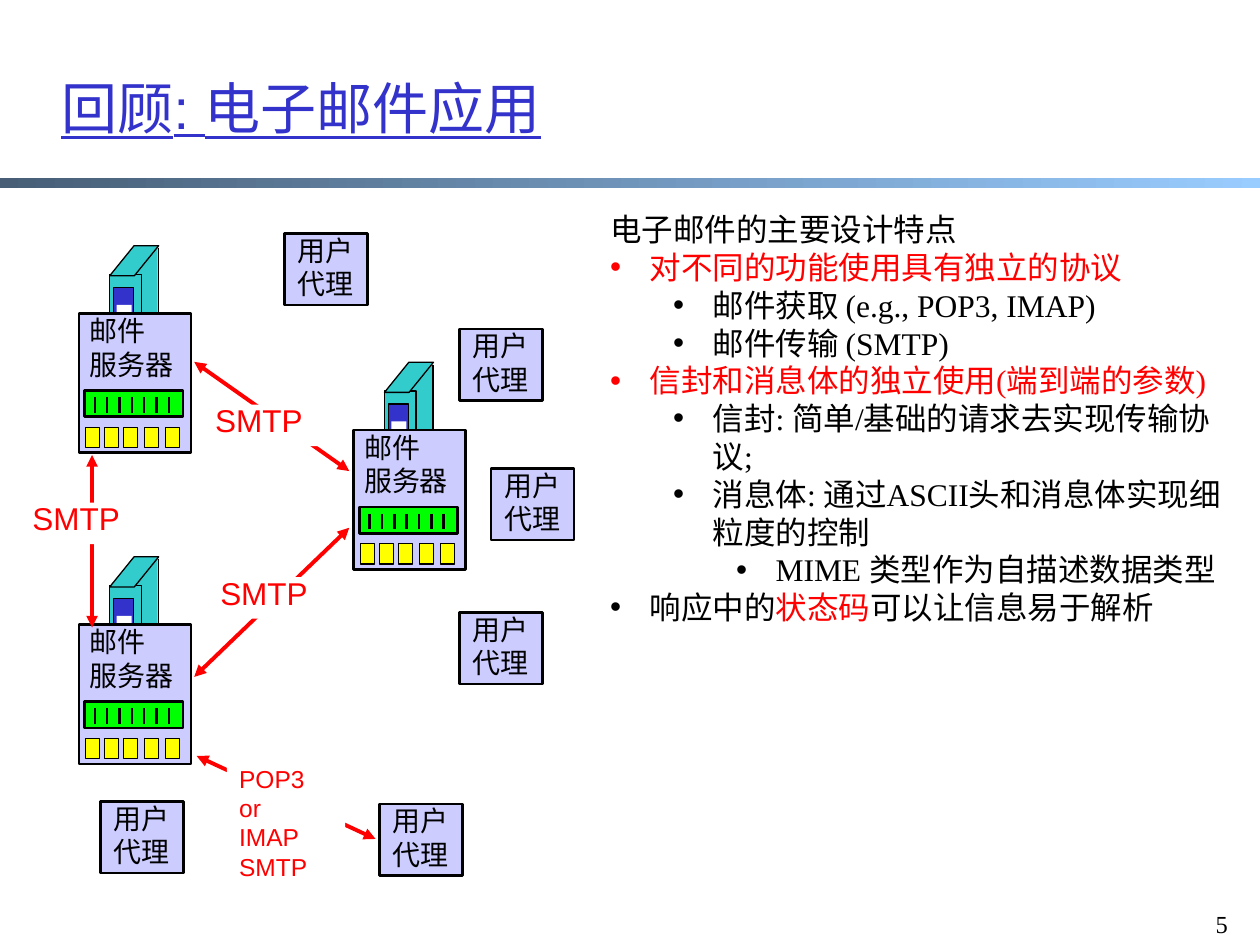
from dataclasses import dataclass
from typing import Optional

from lxml.etree import SubElement
from pptx import Presentation
from pptx.dml.color import RGBColor
from pptx.enum.shapes import MSO_CONNECTOR, MSO_SHAPE
from pptx.enum.text import MSO_ANCHOR, MSO_AUTO_SIZE
from pptx.oxml.ns import qn
from pptx.util import Pt

BLACK, WHITE, RED, BLUE = "000000", "FFFFFF", "FF0000", "3333CC"
TEAL, LILAC, GREEN, YELLOW = "33CCCC", "CCCCFF", "00FF00", "FFFF00"
SANS, SERIF = "Arial", "Times New Roman"


@dataclass(frozen=True)
class Area:
    left: float
    top: float
    width: float
    height: float


@dataclass(frozen=True)
class Style:
    size: float
    color: str
    name: str = SANS
    underline: bool = False


@dataclass(frozen=True)
class Bullet:
    level: Optional[int]
    spans: tuple


def color_of(code: str) -> RGBColor:
    return RGBColor.from_string(code)


def set_font(font, style: Style) -> None:
    font.size = Pt(style.size)
    font.name = style.name
    font.color.rgb = color_of(style.color)
    if style.underline:
        font.underline = True


def add_box(page, area: Area, fill: str, line: float = 0, kind=MSO_SHAPE.RECTANGLE):
    box = page.shapes.add_shape(
        kind, Pt(area.left), Pt(area.top), Pt(area.width), Pt(area.height))
    box.shadow.inherit = False
    box.fill.solid()
    box.fill.fore_color.rgb = color_of(fill)
    if line:
        box.line.color.rgb = color_of(BLACK)
        box.line.width = Pt(line)
    else:
        box.line.fill.background()
    return box


def add_line(page, start: tuple, end: tuple, color: str, width: float, arrows: bool = False) -> None:
    line = page.shapes.add_connector(
        MSO_CONNECTOR.STRAIGHT, *(Pt(value) for value in (*start, *end)))
    line.line.color.rgb = color_of(color)
    line.line.width = Pt(width)
    if arrows:
        outline = line.line._get_or_add_ln()
        for tag in ("a:headEnd", "a:tailEnd"):
            SubElement(outline, qn(tag), type="triangle")
    SubElement(line._element.spPr, qn("a:effectLst"))


def add_text(page, area: Area, lines: list, style: Style, wrap: bool = False,
             anchor=MSO_ANCHOR.TOP) -> None:
    box = page.shapes.add_textbox(
        Pt(area.left), Pt(area.top), Pt(area.width), Pt(area.height))
    frame = box.text_frame
    frame.word_wrap = wrap
    frame.vertical_anchor = anchor
    if not wrap:
        frame.auto_size = MSO_AUTO_SIZE.SHAPE_TO_FIT_TEXT
    for index, line in enumerate(lines):
        para = frame.add_paragraph() if index else frame.paragraphs[0]
        para.text = line
        set_font(para.font, style)


def add_server(page, left: float, top: float) -> None:
    def place(x: float, y: float, width: float, height: float) -> Area:
        return Area(left + x, top + y, width, height)

    add_box(page, place(31.9, -38.2, 13, 56.2), TEAL)
    add_box(page, place(17.5, -22.4, 18, 56.2), TEAL, 0.75)
    roof = add_box(page, place(17.5, -38.8, 28, 17.2), TEAL, 0.75, MSO_SHAPE.PARALLELOGRAM)
    roof.adjustments[0] = 0.81
    add_line(page, (left + 45.3, top - 37.5), (left + 45.3, top + 17.4), BLACK, 0.75)
    add_box(page, place(19.7, -15, 11.5, 32.4), BLUE, 0.75)
    add_box(page, place(21.5, -5, 8.6, 11.5), WHITE)
    add_box(page, place(0, 0, 64, 79.5), LILAC, 1.5)
    add_text(page, place(-1.2, -3.5, 63.4, 46), ["邮件", "服务器"], Style(16, BLACK))
    add_box(page, place(3.1, 44, 56.2, 15), GREEN, 1.5)
    for index in range(7):
        x = left + 9 + 7.05 * index
        add_line(page, (x, top + 47.8), (x, top + 56.6), BLACK, 1.5)
    for x in (3.8, 14.6, 25.4, 37.6, 49.6):
        add_box(page, place(x, 65, 8, 11.5), YELLOW, 0.75)


def add_agent(page, left: float, top: float) -> None:
    add_box(page, Area(left, top, 47.5, 41), LILAC, 1.5)
    add_text(page, Area(left + 0.6, top - 3.6, 46.8, 46), ["用户", "代理"], Style(16, BLACK))


def add_label(page, left: float, top: float) -> None:
    add_box(page, Area(left, top, 67.7, 23.8), WHITE)
    add_text(page, Area(left - 6.5, top - 5.4, 64.8, 28.8), ["SMTP"], Style(18, RED))


def add_outline(page, area: Area, bullets: list) -> None:
    box = page.shapes.add_textbox(
        Pt(area.left), Pt(area.top), Pt(area.width), Pt(area.height))
    frame = box.text_frame
    frame.word_wrap = True
    for index, bullet in enumerate(bullets):
        para = frame.add_paragraph() if index else frame.paragraphs[0]
        if bullet.level is not None:
            para.level = bullet.level
            properties = para._p.get_or_add_pPr()
            properties.set("marL", str(Pt(22.5 + 36 * bullet.level)))
            properties.set("indent", str(Pt(-22.5)))
            SubElement(properties, qn("a:buFont"), typeface=SANS)
            SubElement(properties, qn("a:buChar"), char="•")
        set_font(para.font, Style(18, bullet.spans[0][1], SERIF))
        for words, color in bullet.spans:
            span = para.add_run()
            span.text = words
            if len(bullet.spans) > 1:
                span.font.color.rgb = color_of(color)


SERVERS = [(202.2, 245.8), (45.2, 357), (45.2, 179.2)]
AGENTS = [(262.6, 188), (280.6, 267.6), (262.6, 350), (216.8, 459.4), (57.4, 458), (162.6, 133.4)]
ARROWS = [((111, 206.8), (199.6, 269.2)), ((111, 386.8), (199.6, 301.6)),
          ((52.6, 358.6), (52.6, 260)), ((112.4, 432), (214.6, 479.4))]
LABELS = [(125.3, 329.8), (122.4, 231.2), (18, 287.2)]
BULLETS = [
    Bullet(None, (("电子邮件的主要设计特点", BLACK),)),
    Bullet(0, (("对不同的功能使用具有独立的协议", RED),)),
    Bullet(1, (("邮件获取 (e.g., POP3, IMAP)", BLACK),)),
    Bullet(1, (("邮件传输 (SMTP)", BLACK),)),
    Bullet(0, (("信封和消息体的独立使用(端到端的参数)", RED),)),
    Bullet(1, (("信封: 简单/基础的请求去实现传输协议;", BLACK),)),
    Bullet(1, (("消息体: 通过ASCII头和消息体实现细粒度的控制", BLACK),)),
    Bullet(2, (("MIME 类型作为自描述数据类型", BLACK),)),
    Bullet(0, (("响应中的", BLACK), ("状态码", RED), ("可以让信息易于解析", BLACK))),
]


def main() -> None:
    deck = Presentation()
    deck.slide_width, deck.slide_height = Pt(720), Pt(540)
    page = deck.slides.add_slide(deck.slide_layouts[6])

    rule = add_box(page, Area(0, 101.6, 720, 6), TEAL)
    rule.fill.gradient()
    rule.fill.gradient_angle = 0
    for stop, color in zip(rule.fill.gradient_stops, ("475E76", "99CCFF")):
        stop.color.rgb = color_of(color)
    add_text(page, Area(28, 16, 660, 90), ["回顾: 电子邮件应用"],
             Style(32, BLUE, underline=True), True, MSO_ANCHOR.MIDDLE)

    for left, top in SERVERS:
        add_server(page, left, top)
    for left, top in AGENTS:
        add_agent(page, left, top)
    for start, end in ARROWS:
        add_line(page, start, end, RED, 2.25, True)
    for left, top in LABELS:
        add_label(page, left, top)

    add_box(page, Area(129.6, 429, 67.7, 62), WHITE)
    add_text(page, Area(129.6, 432.8, 67.7, 58.2), ["POP3 or", "IMAP\vSMTP"], Style(14, RED), True)
    add_outline(page, Area(341.6, 116.6, 371.5, 247), BULLETS)
    add_text(page, Area(687.6, 504, 32.4, 36), ["5"],
             Style(14, BLACK, SERIF), True, MSO_ANCHOR.BOTTOM)
    deck.save("out.pptx")


if __name__ == "__main__":
    main()
